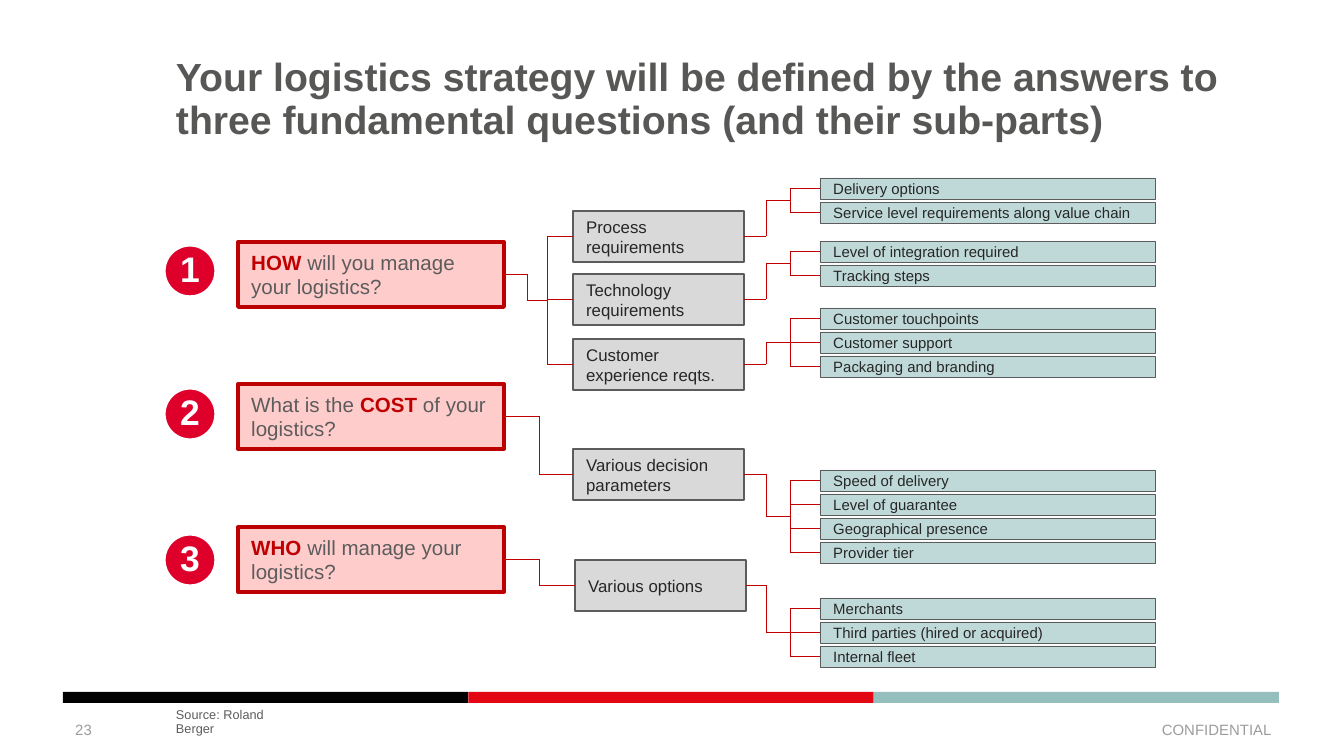
from dataclasses import dataclass

from lxml.etree import SubElement
from pptx import Presentation
from pptx.dml.color import RGBColor
from pptx.enum.shapes import MSO_CONNECTOR, MSO_SHAPE
from pptx.enum.text import MSO_ANCHOR, MSO_AUTO_SIZE, PP_ALIGN
from pptx.oxml.ns import qn
from pptx.util import Emu, Pt

EMU_PER_PX = 914400 / 134.4
TOP, LEFT, RIGHT = 0, 1, 3


@dataclass(frozen=True)
class Theme:
    """Colours, type sizes and font of the slide."""
    font: str = "Arial"
    title: str = "575756"
    muted: str = "9C9C9C"
    grey: str = "5C5C5C"
    ink: str = "262626"
    white: str = "FFFFFF"
    accent: str = "C00000"
    question_fill: str = "FFCCCC"
    question_line: str = "BD0000"
    node_fill: str = "D9D9D9"
    leaf_fill: str = "BFD9D8"
    badge_fill: str = "DE002B"
    bars: tuple = ("000000", "E30613", "94BFBD")
    title_size: float = 21
    badge_size: float = 19
    question_size: float = 11
    node_size: float = 9
    leaf_size: float = 8
    footer_size: float = 8
    source_size: float = 6.8


@dataclass(frozen=True)
class Node:
    """A sub-question with its leaves, offset from its branch's corner."""
    text: str
    dy: int
    leaves_dy: int
    leaves: tuple
    dx: int = 409


@dataclass(frozen=True)
class Branch:
    """A numbered question with its nodes; the keyword runs are bold."""
    number: str
    runs: tuple
    keyword: int
    question_dy: int
    badge_dy: int
    turn: int
    nodes: tuple


T = Theme()

BRANCHES = (
    ((164, 178, 991, 212), Branch("1", ("HOW", " will you manage your logistics?"), 0, 64, 67, 363, (
        Node("Process requirements", 33, 0,
             ("Delivery options", "Service level requirements along value chain")),
        Node("Technology requirements", 96, 63,
             ("Level of integration required", "Tracking steps")),
        Node("Customer experience reqts.", 161, 130,
             ("Customer touchpoints", "Customer support", "Packaging and branding")),
    ))),
    ((164, 384, 991, 179), Branch("2", ("What is the ", "COST ", "of your logistics?"), 1, 0, 4, 375, (
        Node("Various decision parameters", 65, 86,
             ("Speed of delivery", "Level of guarantee", "Geographical presence", "Provider tier")),
    ))),
    ((164, 527, 991, 140), Branch("3", ("WHO", " will manage your logistics?"), 0, 0, 7, 375, (
        Node("Various options", 33, 71,
             ("Merchants", "Third parties (hired or acquired)", "Internal fleet"), 411),
    ))),
)


def px(n):
    """Turn px into EMU."""
    return Emu(round(n * EMU_PER_PX))


def rgb(color):
    """Turn a hex string into a colour."""
    return RGBColor.from_string(color)


def style(p, size, color, bold=False):
    """Set the font of a paragraph."""
    p.font.name, p.font.size, p.font.bold = T.font, Pt(size), bold
    p.font.color.rgb = rgb(color)


def no_insets(tf):
    """Remove the margins of a text frame."""
    tf.margin_left = tf.margin_right = tf.margin_top = tf.margin_bottom = 0


def add_block(s, box, fill, line=None, width=0, kind=MSO_SHAPE.RECTANGLE):
    """Add a flat shape with left-aligned, middle-anchored text."""
    sp = s.shapes.add_shape(kind, *map(px, box))
    sp.shadow.inherit = False
    sp.fill.solid()
    sp.fill.fore_color.rgb = rgb(fill)
    if line:
        sp.line.color.rgb = rgb(line)
        sp.line.width = Pt(width)
    else:
        sp.line.fill.background()
    tf = sp.text_frame
    tf.word_wrap = True
    tf.vertical_anchor = MSO_ANCHOR.MIDDLE
    tf.paragraphs[0].alignment = PP_ALIGN.LEFT
    return sp


def add_label(s, box, text, size, color, align=PP_ALIGN.LEFT):
    """Add a middle-anchored text box."""
    tf = s.shapes.add_textbox(*map(px, box)).text_frame
    tf.word_wrap = True
    tf.vertical_anchor = MSO_ANCHOR.MIDDLE
    p = tf.paragraphs[0]
    p.text, p.alignment = text, align
    style(p, size, color)
    return tf


def add_line(s, x1, y1, x2, y2, begin=None, end=None):
    """Add a thin line, joined to the right of begin and the left of end."""
    c = s.shapes.add_connector(MSO_CONNECTOR.STRAIGHT, x1, y1, x2, y2)
    c.line.color.rgb = rgb(T.accent)
    c.line.width = Pt(0.25)
    SubElement(c._element.spPr, qn("a:effectLst"))
    if begin:
        c.begin_connect(begin, RIGHT)
    if end:
        c.end_connect(end, LEFT)


def add_fork(s, parent, children, turn, spine):
    """Lead from a parent by way of a turn and a spine to its children."""
    start = parent.top + parent.height // 2
    ys = [c.top + c.height // 2 for c in children]
    middle = sum(ys) // len(ys)
    add_line(s, parent.left + parent.width, start, turn, start, begin=parent)
    add_line(s, turn, start, turn, middle)
    if len(children) > 1:
        add_line(s, turn, middle, spine, middle)
        add_line(s, spine, ys[0], spine, ys[-1])
    else:
        spine = turn
    for child, y in zip(children, ys):
        add_line(s, spine, y, child.left, y, end=child)


def add_title(s, box, text):
    """Place and format the title."""
    sp = s.shapes.title
    sp.left, sp.top, sp.width, sp.height = map(px, box)
    tf = sp.text_frame
    tf.word_wrap, tf.auto_size = True, MSO_AUTO_SIZE.NONE
    tf.vertical_anchor = MSO_ANCHOR.TOP
    no_insets(tf)
    p = tf.paragraphs[0]
    p.text, p.alignment, p.line_spacing = text, PP_ALIGN.LEFT, 0.9
    style(p, T.title_size, T.title, True)


def add_node(s, x, y, node):
    """Add a node and its forked leaves, and return the node."""
    sp = add_block(s, (x + node.dx, y + node.dy, 171, 51), T.node_fill, T.grey, 1.25)
    p = sp.text_frame.paragraphs[0]
    p.text = node.text
    style(p, T.node_size, T.ink)
    leaves = []
    for i, text in enumerate(node.leaves):
        leaf = add_block(s, (x + 656, y + node.leaves_dy + 24 * i, 335, 21), T.leaf_fill, T.grey, 0.25)
        p = leaf.text_frame.paragraphs[0]
        p.text = text
        style(p, T.leaf_size, T.ink)
        leaves.append(leaf)
    add_fork(s, sp, leaves, px(x + 602), px(x + 626))
    return sp


def add_branch(s, box, branch):
    """Add a numbered question and the tree that follows from it."""
    x, y = box[:2]
    badge = add_block(s, (x, y + branch.badge_dy, 52, 52), T.badge_fill, T.white, 1.75, MSO_SHAPE.OVAL)
    no_insets(badge.text_frame)
    p = badge.text_frame.paragraphs[0]
    p.text, p.alignment, p.line_spacing = branch.number, PP_ALIGN.CENTER, 0.9
    style(p, T.badge_size, T.white, True)

    question = add_block(s, (x + 74, y + branch.question_dy, 266, 65), T.question_fill, T.question_line, 2)
    p = question.text_frame.paragraphs[0]
    style(p, T.question_size, T.grey)
    for i, text in enumerate(branch.runs):
        r = p.add_run()
        r.text = text
        r.font.bold = i == branch.keyword
        r.font.color.rgb = rgb(T.accent if i == branch.keyword else T.grey)
    nodes = [add_node(s, x, y, node) for node in branch.nodes]
    add_fork(s, question, nodes, px(x + branch.turn), px(x + 383))


def add_footer(s, box):
    """Add the colour bars, page number, source and classification."""
    x, y, w, h = box
    bar = w / len(T.bars)
    for i, color in enumerate(T.bars):
        add_block(s, (x + i * bar, y, bar, 11), color)
    add_label(s, (x - 1, y + 18, 313, 40), "23", T.footer_size, T.muted)
    add_label(s, (x + w - 307, y + 18, 313, 40), "CONFIDENTIAL", T.footer_size, T.muted, PP_ALIGN.RIGHT)
    tf = add_label(s, (x + 113, y + 31, 129, 13), "Source: Roland Berger", T.source_size, T.grey)
    tf.word_wrap, tf.vertical_anchor = False, MSO_ANCHOR.BOTTOM
    tf.auto_size = MSO_AUTO_SIZE.SHAPE_TO_FIT_TEXT
    no_insets(tf)
    tf.paragraphs[0].line_spacing = 0.9


def main():
    """Build the slide and save it."""
    prs = Presentation()
    prs.slide_width, prs.slide_height = px(1344), px(756)
    s = prs.slides.add_slide(prs.slide_layouts[5])
    add_title(s, (176, 58, 1087, 126), "Your logistics strategy will be defined by the answers to "
              "three fundamental questions (and their sub-parts)")
    for box, branch in BRANCHES:
        add_branch(s, box, branch)
    add_footer(s, (63, 692, 1216, 58))
    prs.save("out.pptx")


if __name__ == "__main__":
    main()
